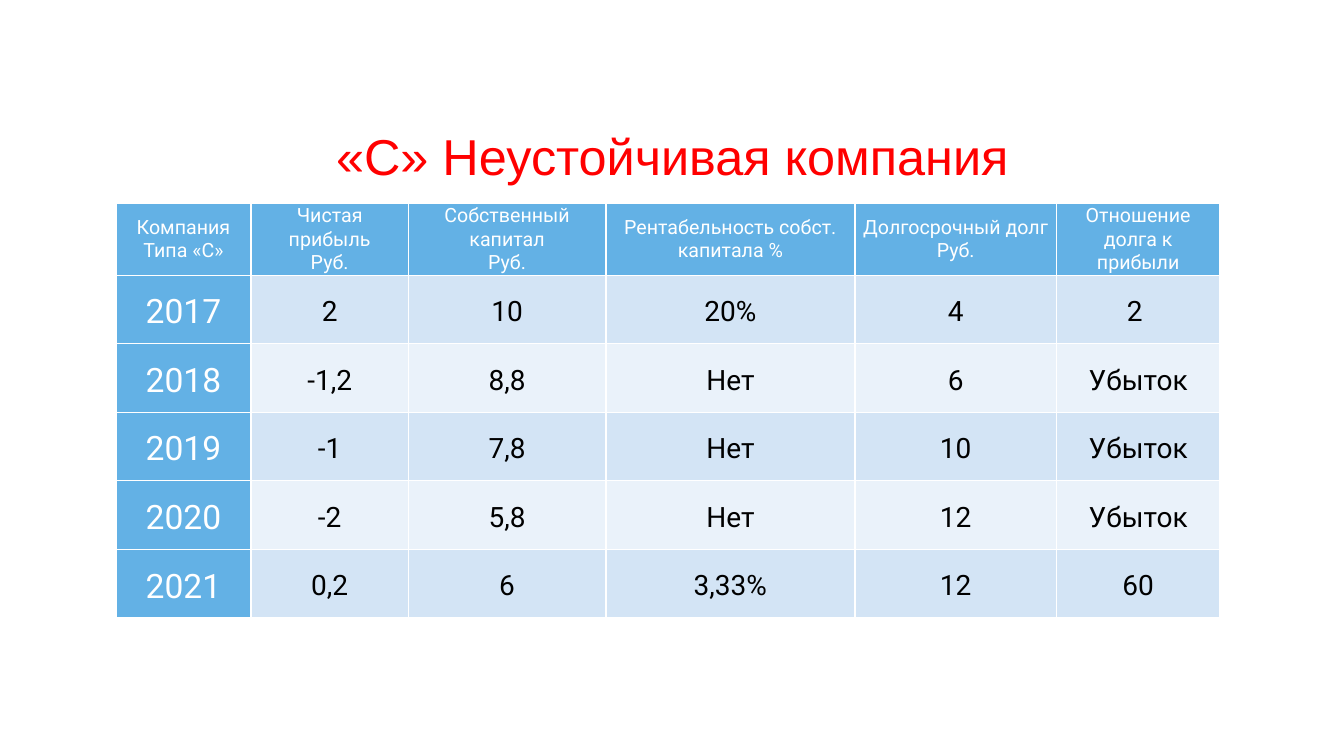
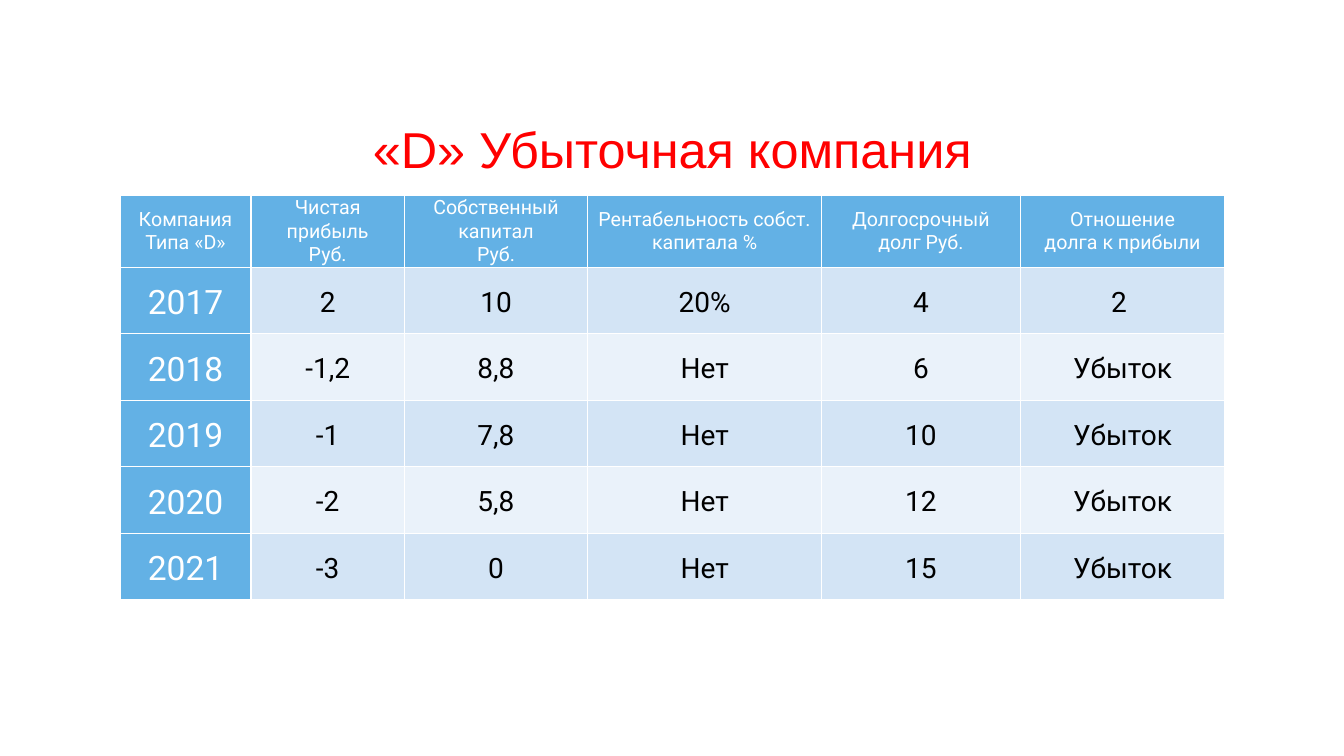
from lxml import etree
from pptx import Presentation
from pptx.dml.color import RGBColor
from pptx.enum import text
from pptx.oxml import ns
from pptx.util import Inches, Pt

THEME = {
    "red": "FF0000", "blue": "63B1E5", "white": "FFFFFF", "black": "000000",
    "bands": ("D3E4F5", "EAF2FA"),
    "title": 36, "head": 14, "year": 24, "value": 20,
    "title font": "Arial", "table font": "Roboto",
}
FIRST = 2017
SHARED = [
    ["2", "10", "20%", "4", "2 "],
    ["-1,2", "8,8", "Нет", "6", "Убыток"],
    ["-1", "7,8", "Нет", "10", "Убыток"],
    ["-2", "5,8", "Нет", "12", "Убыток"],
]
HEAD = ["Чистая прибыль\nРуб.", "Собственный капитал\nРуб."]
RATIO = "Отношение\nдолга к прибыли"
SLIDES = [
    {
        "title": "«C» Неустойчивая компания", "top": 1.16,
        "head": ["Компания\nТипа «С»", *HEAD, "Рентабельность собст. капитала %",
                 "Долгосрочный долг\nРуб.", RATIO],
        "last": ["0,2", "6", "3,33%", "12", "60"],
        "at": (1.15, 2.02), "cols": [1.34, 1.56, 1.96, 2.47, 2, 1.62], "row": 0.68,
    },
    {
        "title": "«D» Убыточная компания", "top": 1.09,
        "head": ["Компания\nТипа «D»", *HEAD, "Рентабельность собст.\nкапитала %",
                 "Долгосрочный долг Руб.", RATIO],
        "last": ["-3", "0", "Нет", "15", "Убыток"],
        "at": (1.19, 1.94), "cols": [1.3, 1.52, 1.82, 2.32, 1.97, 2.03], "row": 0.66,
    },
]
HEAD_HIGH = 0.71


def write(frame, words, font, size, color, **para):
    """Fill a text frame with centred text; para holds paragraph spacing."""
    frame.text = words
    for p in frame.paragraphs:
        p.alignment = text.PP_ALIGN.CENTER
        for name, value in para.items():
            setattr(p, name, value)
        for run in p.runs:
            look = {"name": font, "size": Pt(size), "bold": False}
            for name, value in look.items():
                setattr(run.font, name, value)
            run.font.color.rgb = RGBColor.from_string(color)


def paint(cell, color):
    """Give a cell its margins, thin white borders and fill."""
    cell.vertical_anchor = text.MSO_ANCHOR.MIDDLE
    cell.margin_left = cell.margin_right = Inches(0.07)
    cell.margin_top = cell.margin_bottom = 0
    props = cell._tc.get_or_add_tcPr()
    for side in "LRTB":
        line = etree.SubElement(props, ns.qn(f"a:ln{side}"), w=str(Pt(1)))
        fill = etree.SubElement(line, ns.qn("a:solidFill"))
        etree.SubElement(fill, ns.qn("a:srgbClr"), val=THEME["white"])
    cell.fill.solid()
    cell.fill.fore_color.rgb = RGBColor.from_string(color)


deck = Presentation()
deck.slide_width, deck.slide_height = Inches(13.33), Inches(7.5)

for data in SLIDES:
    slide = deck.slides.add_slide(deck.slide_layouts[6])

    box = slide.shapes.add_textbox(
        Inches(1.56), Inches(data["top"]), Inches(10.22), Inches(0.77))
    frame = box.text_frame
    frame.word_wrap = True
    frame.vertical_anchor = text.MSO_ANCHOR.MIDDLE
    for side in ("left", "top", "right", "bottom"):
        setattr(frame, f"margin_{side}", Inches(0.05))
    write(frame, data["title"], THEME["title font"], THEME["title"], THEME["red"])

    values = SHARED + [data["last"]]
    rows = [data["head"]] + [[str(FIRST + i), *row] for i, row in enumerate(values)]
    highs = [HEAD_HIGH] + [data["row"]] * len(values)
    left, top = data["at"]
    table = slide.shapes.add_table(
        len(rows), len(data["cols"]), Inches(left), Inches(top),
        Inches(sum(data["cols"])), Inches(sum(highs))).table
    for col, width in zip(table.columns, data["cols"]):
        col.width = Inches(width)
    for row, high in zip(table.rows, highs):
        row.height = Inches(high)

    for r, row in enumerate(rows):
        for c, words in enumerate(row):
            if r == 0:
                size, ink, fill = THEME["head"], THEME["white"], THEME["blue"]
            elif c == 0:
                size, ink, fill = THEME["year"], THEME["white"], THEME["blue"]
            else:
                size, ink, fill = THEME["value"], THEME["black"], THEME["bands"][(r - 1) % 2]
            space = {"line_spacing": 1.15, "space_after": Pt(10)} if r else {}
            cell = table.cell(r, c)
            paint(cell, fill)
            write(cell.text_frame, words, THEME["table font"], size, ink, **space)

deck.save("out.pptx")
